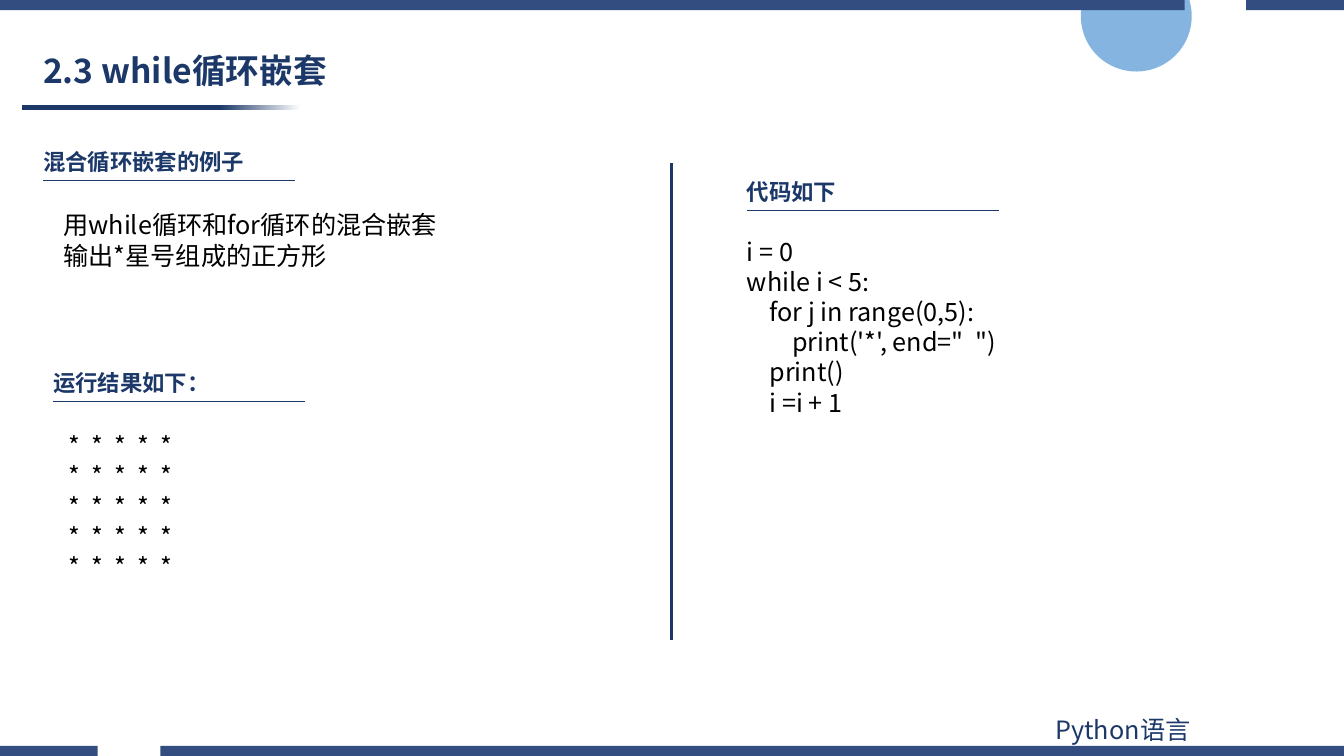
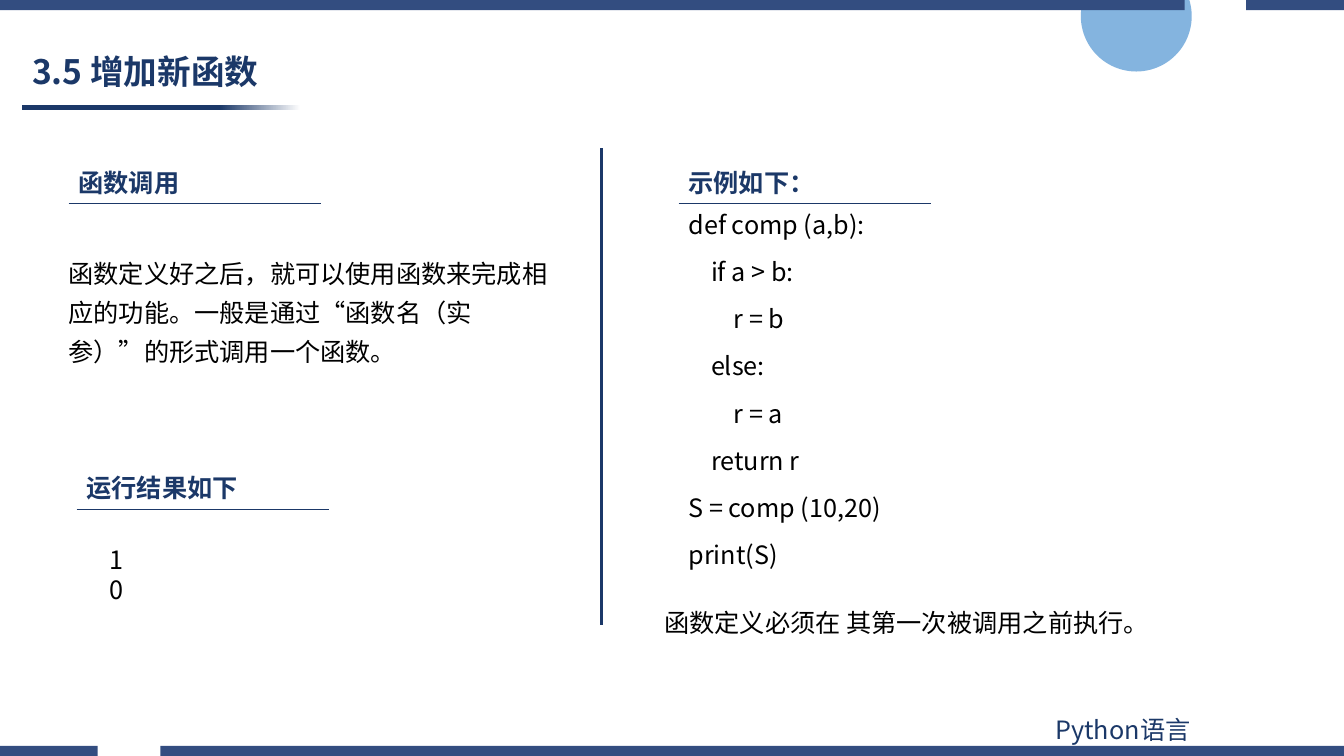
from lxml import etree
from pptx import Presentation
from pptx.dml.color import RGBColor
from pptx.enum.shapes import MSO_CONNECTOR, MSO_SHAPE
from pptx.enum.text import MSO_ANCHOR, MSO_AUTO_SIZE
from pptx.oxml.ns import qn
from pptx.util import Inches, Pt

STRAIGHT = MSO_CONNECTOR.STRAIGHT
OVAL = MSO_SHAPE.OVAL
RECTANGLE = MSO_SHAPE.RECTANGLE
MIDDLE = MSO_ANCHOR.MIDDLE
FIT_SHAPE = MSO_AUTO_SIZE.SHAPE_TO_FIT_TEXT
FIXED_SIZE = MSO_AUTO_SIZE.NONE

FONT = "Noto Sans CJK SC"
COLORS = {name: RGBColor.from_string(value) for name, value in {
    "navy": "1B3868",
    "band": "334D80",
    "sky": "5B9BD5",
    "black": "000000",
    "white": "FFFFFF",
}.items()}


def add_text(slide, left, top, width, height, text, size=18, color="black",
             bold=False, line_spacing=None, gap=0):
    box = slide.shapes.add_textbox(Inches(left), Inches(top), Inches(width), Inches(height))
    frame = box.text_frame
    frame.word_wrap = True
    frame.auto_size = FIT_SHAPE
    frame.text = text
    for index, paragraph in enumerate(frame.paragraphs):
        paragraph.line_spacing = line_spacing
        if gap:
            paragraph.space_before = Pt(gap if index else 0)
            paragraph.space_after = Pt(gap)
        font = paragraph.font
        font.size = Pt(size)
        font.bold = bold
        font.color.rgb = COLORS[color]
        font.name = FONT
        latin = next(paragraph._p.iter(qn("a:latin")))
        latin.addnext(etree.Element(qn("a:ea"), typeface=FONT))
    return frame


def add_rule(slide, x1, y1, x2, y2, weight):
    rule = slide.shapes.add_connector(STRAIGHT, Inches(x1), Inches(y1), Inches(x2), Inches(y2))
    rule.line.color.rgb = COLORS["navy"]
    rule.line.width = Pt(weight)
    etree.SubElement(rule._element.spPr, qn("a:effectLst"))


prs = Presentation()
prs.slide_width = Inches(13.33)
prs.slide_height = Inches(7.5)

BANDS = [
    (7.4, [(1.59, 13.33), (0, 0.97)]),
    (0, [(0, 11.75), (12.36, 13.33)]),
]

pages = [
    {
        "title": (0.33, 0.44, "2.3 while循环嵌套"),
        "divider": (6.66, 1.62),
        "heading_size": 16,
        "underline": (0.1, 0.37),
        "headings": [
            (0.33, 1.42, "混合循环嵌套的例子"),
            (0.43, 3.61, "运行结果如下："),
            (7.31, 1.72, "代码如下"),
        ],
    },
    {
        "title": (0.22, 0.45, "3.5 增加新函数"),
        "divider": (5.97, 1.47),
        "heading_size": 18,
        "underline": (0, 0.41),
        "headings": [
            (0.68, 1.61, "函数调用"),
            (0.76, 4.64, "运行结果如下"),
            (6.73, 1.61, "示例如下："),
        ],
    },
]

slides = []
for page in pages:
    slide = prs.slides.add_slide(prs.slide_layouts[6])
    slides.append(slide)

    circle = slide.shapes.add_shape(OVAL, Inches(10.72), Inches(-0.39), Inches(1.1), Inches(1.1))
    circle.fill.solid()
    circle.fill.fore_color.rgb = COLORS["sky"]
    circle_color = next(circle._element.spPr.iter(qn("a:srgbClr")))
    etree.SubElement(circle_color, qn("a:alpha"), val="75000")

    title_bar = slide.shapes.add_shape(RECTANGLE, Inches(0.22), Inches(1.04), Inches(2.76), Inches(0.05))
    title_bar.fill.gradient()
    title_bar.fill.gradient_angle = 0
    for stop, position, color in zip(title_bar.fill.gradient_stops, (0.71, 1), ("navy", "white")):
        stop.position = position
        stop.color.rgb = COLORS[color]

    decorations = [circle, title_bar]
    for band_top, spans in BANDS:
        top, bottom = Inches(band_top), Inches(band_top + 0.1)
        outline = slide.shapes.build_freeform(Inches(spans[0][0]), top)
        for index, span in enumerate(spans):
            left, right = map(Inches, span)
            if index:
                outline.move_to(left, top)
            outline.add_line_segments([(right, top), (right, bottom), (left, bottom)], close=True)
        band = outline.convert_to_shape()
        band.fill.solid()
        band.fill.fore_color.rgb = COLORS["band"]
        decorations.append(band)
    for decoration in decorations:
        decoration.line.fill.background()
        decoration.shadow.inherit = False

    add_text(slide, 10.37, 7.04, 2.94, 0.4, "Python语言", color="navy")

    left, top, title = page["title"]
    title_frame = add_text(slide, left, top, 4, 0.56, title, 24, "navy", True, 0.9)
    title_frame.auto_size = FIXED_SIZE
    title_frame.vertical_anchor = MIDDLE

    x, y = page["divider"]
    add_rule(slide, x, y, x, y + 4.73, 2)

    indent, drop = page["underline"]
    for left, top, heading in page["headings"]:
        add_text(slide, left, top, 3.4, 0.4, heading, page["heading_size"], "navy", True)
        add_rule(slide, left + indent, top + drop, left + indent + 2.5, top + drop, 0.5)

loops, functions = slides

add_text(loops, 0.53, 2.03, 4.04, 0.71, "用while循环和for循环的混合嵌套输出*星号组成的正方形")
add_text(loops, 0.58, 4.22, 2.44, 1.62, "\n".join(["*  *  *  *  *"] * 5))
add_text(loops, 7.31, 2.29, 5.51, 1.92, """i = 0
while i < 5:
    for j in range(0,5):
        print('*', end="  ")
    print()
    i =i + 1""")

add_text(functions, 0.58, 2.42, 5.09, 1.65,
         "函数定义好之后，就可以使用函数来完成相应的功能。一般是通过“函数名（实参）”的形式调用一个函数。",
         line_spacing=1.3)
add_text(functions, 0.99, 5.35, 0.47, 0.71, "10")
add_text(functions, 6.73, 2.03, 4.06, 4.14, """def comp (a,b):
    if a > b:
        r = b
    else:
        r = a
    return r
S = comp (10,20)
print(S)""", gap=6)
add_text(functions, 6.49, 5.98, 5.14, 0.4, "函数定义必须在 其第一次被调用之前执行。")

prs.save("out.pptx")
